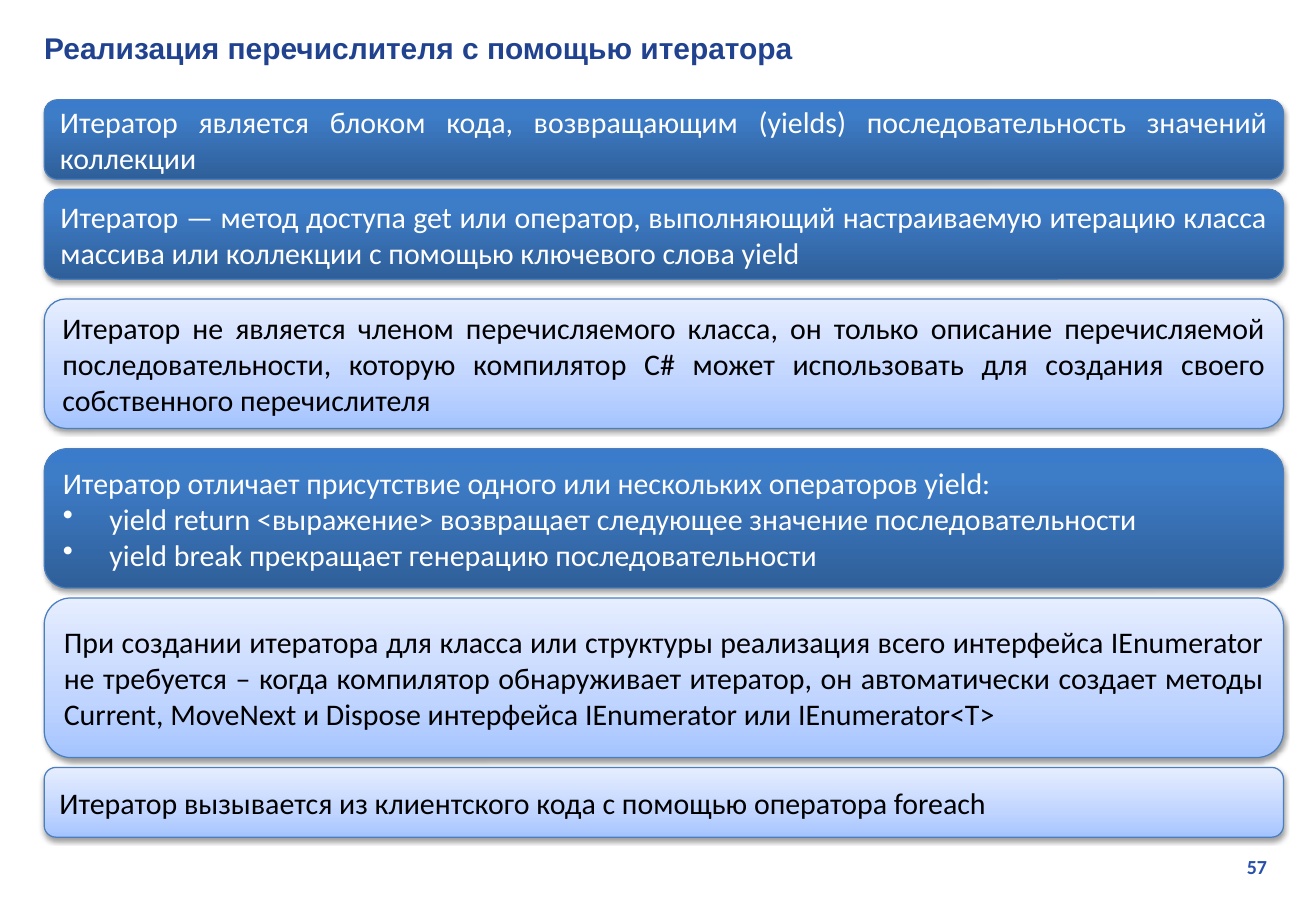
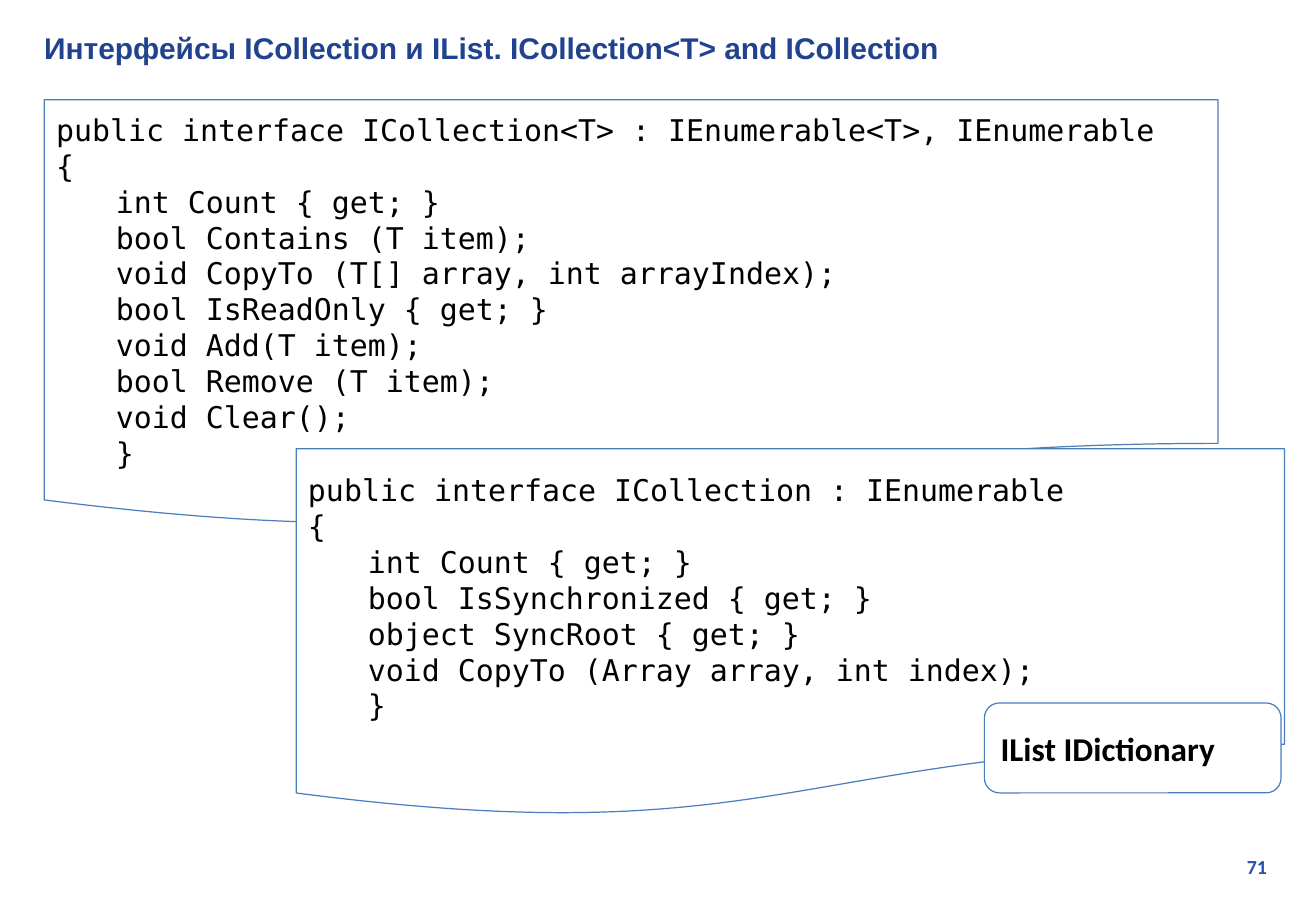
from dataclasses import dataclass
from typing import Optional

from lxml import etree
from pptx import Presentation
from pptx import util as u
from pptx.dml.color import RGBColor
from pptx.enum import shapes, text
from pptx.oxml import ns

COLOURS = {
    "title": "21438F",
    "number": "2750AB",
    "outline": "4B7EBC",
    "white": "FFFFFF",
    "black": "000000",
}
HEADING_FONT, BODY_FONT, CODE_FONT = "Arial", "Calibri", "DejaVu Sans Mono"
LEFT, PANEL_WIDTH = 0.94, 26.31
INDENT = 1.27
BULLET_INDENT = 0.99


@dataclass(frozen=True)
class PanelStyle:
    """Gradient stops run from bottom to top as (percent, colour)."""
    stops: tuple[tuple[int, str], ...]
    font_colour: str
    shadow_alpha: int
    shadow_distance: float


@dataclass(frozen=True)
class Panel:
    top: float
    height: float
    style: PanelStyle
    content: str
    bullets: tuple[str, ...] = ()


@dataclass(frozen=True)
class CodeSheet:
    left: float
    top: float
    width: float
    height: float
    top_inset: float
    lines: tuple[str, ...]


DARK = PanelStyle(((0, "2F5F99"), (80, "3D7CC7"), (100, "3A7CCB")), "white", 35, 1.8)
LIGHT = PanelStyle(((0, "A4C4FF"), (35, "BFD4FF"), (100, "E6EEFF")), "black", 38, 1.6)

PANELS = (
    Panel(2.12, 1.69, DARK,
          "Итератор является блоком кода, возвращающим (yields) "
          "последовательность значений коллекции"),
    Panel(4.02, 1.91, DARK,
          "Итератор — метод доступа get или оператор, выполняющий настраиваемую "
          "итерацию класса массива или коллекции с помощью ключевого слова yield"),
    Panel(6.35, 2.75, LIGHT,
          "Итератор не является членом перечисляемого класса, он только описание "
          "перечисляемой последовательности, которую компилятор C# может "
          "использовать для создания своего собственного перечислителя"),
    Panel(9.53, 2.96, DARK,
          "Итератор отличает присутствие одного или нескольких операторов yield:",
          ("yield return <выражение> возвращает следующее значение последовательности",
           "yield break прекращает генерацию последовательности")),
    Panel(12.7, 3.39, LIGHT,
          "При создании итератора для класса или структуры реализация всего "
          "интерфейса IEnumerator не требуется – когда компилятор обнаруживает "
          "итератор, он автоматически создает методы Current, MoveNext и Dispose "
          "интерфейса IEnumerator или IEnumerator<T>"),
    Panel(16.3, 1.48, LIGHT,
          "Итератор вызывается из клиентского кода с помощью оператора foreach"),
)

CODE_SHEETS = (
    CodeSheet(LEFT, 2.12, 24.92, 9.1, 0.25, (
        "public interface ICollection<T> : IEnumerable<T>, IEnumerable",
        "{",
        "int Count { get; }",
        "bool Contains (T item);",
        "void CopyTo (T[] array, int arrayIndex);",
        "bool IsReadOnly { get; }",
        "void Add(T item);",
        "bool Remove (T item);",
        "void Clear();",
        "}",
    )),
    CodeSheet(6.29, 9.53, 20.98, 7.83, 0.49, (
        "public interface ICollection : IEnumerable",
        "{",
        "int Count { get; }",
        "bool IsSynchronized { get; }",
        "object SyncRoot { get; }",
        "void CopyTo (Array array, int index);",
        "}",
    )),
)


# Text
def add_text(frame, content: str, *, size: float = 18, font: str = BODY_FONT,
             colour: str = "black", bold: bool = False,
             align=text.PP_ALIGN.LEFT, indent: float = 0,
             bullet: Optional[str] = None) -> None:
    """Append a formatted paragraph, using the frame's empty first one if free."""
    frame.word_wrap = True
    first = frame.paragraphs[0]
    paragraph = frame.add_paragraph() if first.runs else first
    properties = paragraph._p.get_or_add_pPr()
    if indent:
        properties.set("marL", str(u.Cm(indent)))
    if bullet:
        properties.set("indent", str(-u.Cm(indent)))
        etree.SubElement(properties, ns.qn("a:buChar"), char=bullet)
    paragraph.alignment = align
    run = paragraph.add_run()
    run.text = content
    run.font.size = u.Pt(size)
    run.font.name = font
    run.font.bold = bold
    run.font.color.rgb = RGBColor.from_string(COLOURS[colour])


def add_label(slide, left: float, top: float, width: float, height: float,
              content: str, **text_format) -> None:
    box = slide.shapes.add_textbox(*map(u.Cm, (left, top, width, height)))
    box.text_frame.vertical_anchor = text.MSO_ANCHOR.MIDDLE
    add_text(box.text_frame, content, **text_format)


# Shapes
def add_outlined(slide, kind, left: float, top: float, width: float, height: float):
    """Add a white shape with the common thin outline and no shadow."""
    shape = slide.shapes.add_shape(kind, *map(u.Cm, (left, top, width, height)))
    shape.shadow.inherit = False
    shape.fill.solid()
    shape.fill.fore_color.rgb = RGBColor.from_string(COLOURS["white"])
    shape.line.color.rgb = RGBColor.from_string(COLOURS["outline"])
    shape.line.width = u.Pt(0.75)
    shape.text_frame.vertical_anchor = text.MSO_ANCHOR.MIDDLE
    return shape


def add_colour(parent, colour: str):
    return etree.SubElement(parent, ns.qn("a:srgbClr"), val=colour)


def apply_panel_style(shape, style: PanelStyle) -> None:
    """Set the three-stop vertical gradient and the soft shadow below."""
    properties = shape._element.spPr
    gradient = etree.Element(ns.qn("a:gradFill"), rotWithShape="1")
    stops = etree.SubElement(gradient, ns.qn("a:gsLst"))
    for percent, colour in style.stops:
        stop = etree.SubElement(stops, ns.qn("a:gs"), pos=str(percent * 1000))
        add_colour(stop, colour)
    etree.SubElement(gradient, ns.qn("a:lin"), ang="16200000", scaled="0")
    properties.replace(properties.find(ns.qn("a:solidFill")), gradient)

    shadow = etree.SubElement(
        properties.find(ns.qn("a:effectLst")), ns.qn("a:outerShdw"),
        blurRad=str(u.Pt(3.1)), dist=str(u.Pt(style.shadow_distance)),
        dir="5400000", rotWithShape="0")
    etree.SubElement(add_colour(shadow, COLOURS["black"]), ns.qn("a:alpha"),
                     val=str(style.shadow_alpha * 1000))


def add_panel(slide, panel: Panel) -> None:
    shape = add_outlined(slide, shapes.MSO_SHAPE.ROUNDED_RECTANGLE,
                         LEFT, panel.top, PANEL_WIDTH, panel.height)
    apply_panel_style(shape, panel.style)
    text_format = {"colour": panel.style.font_colour, "align": text.PP_ALIGN.JUSTIFY}
    add_text(shape.text_frame, panel.content, **text_format)
    for item in panel.bullets:
        add_text(shape.text_frame, item, indent=BULLET_INDENT, bullet="•", **text_format)


def add_code_sheet(slide, sheet: CodeSheet) -> None:
    shape = add_outlined(slide, shapes.MSO_SHAPE.FLOWCHART_DOCUMENT,
                         sheet.left, sheet.top, sheet.width, sheet.height)
    shape.text_frame.vertical_anchor = text.MSO_ANCHOR.TOP
    shape.text_frame.margin_top = u.Cm(sheet.top_inset)
    for number, line in enumerate(sheet.lines):
        add_text(shape.text_frame, line, font=CODE_FONT,
                 indent=INDENT if number > 1 else 0)


# Slides
def add_slide(presentation, title: str, number: int):
    """Add a blank slide with the shared title and page number."""
    slide = presentation.slides.add_slide(presentation.slide_layouts[6])
    add_label(slide, 21.23, 18.03, 5.92, 0.76, str(number), size=12,
              colour="number", bold=True, align=text.PP_ALIGN.RIGHT)
    add_label(slide, 0.69, 0.51, 26.67, 1.02, title, font=HEADING_FONT,
              colour="title", bold=True)
    return slide


def build_iterator_slide(presentation) -> None:
    slide = add_slide(presentation, "Реализация перечислителя с помощью итератора", 57)
    for panel in PANELS:
        add_panel(slide, panel)


def build_interfaces_slide(presentation) -> None:
    slide = add_slide(
        presentation, "Интерфейсы ICollection и IList. ICollection<T> and ICollection", 71)
    for sheet in CODE_SHEETS:
        add_code_sheet(slide, sheet)
    related = add_outlined(slide, shapes.MSO_SHAPE.FLOWCHART_ALTERNATE_PROCESS,
                           20.9, 14.93, 6.3, 1.91)
    add_text(related.text_frame, "IList IDictionary", size=20, bold=True)


def main() -> None:
    presentation = Presentation()
    presentation.slide_width, presentation.slide_height = u.Cm(27.94), u.Cm(19.05)
    build_iterator_slide(presentation)
    build_interfaces_slide(presentation)
    presentation.save("out.pptx")


if __name__ == "__main__":
    main()
